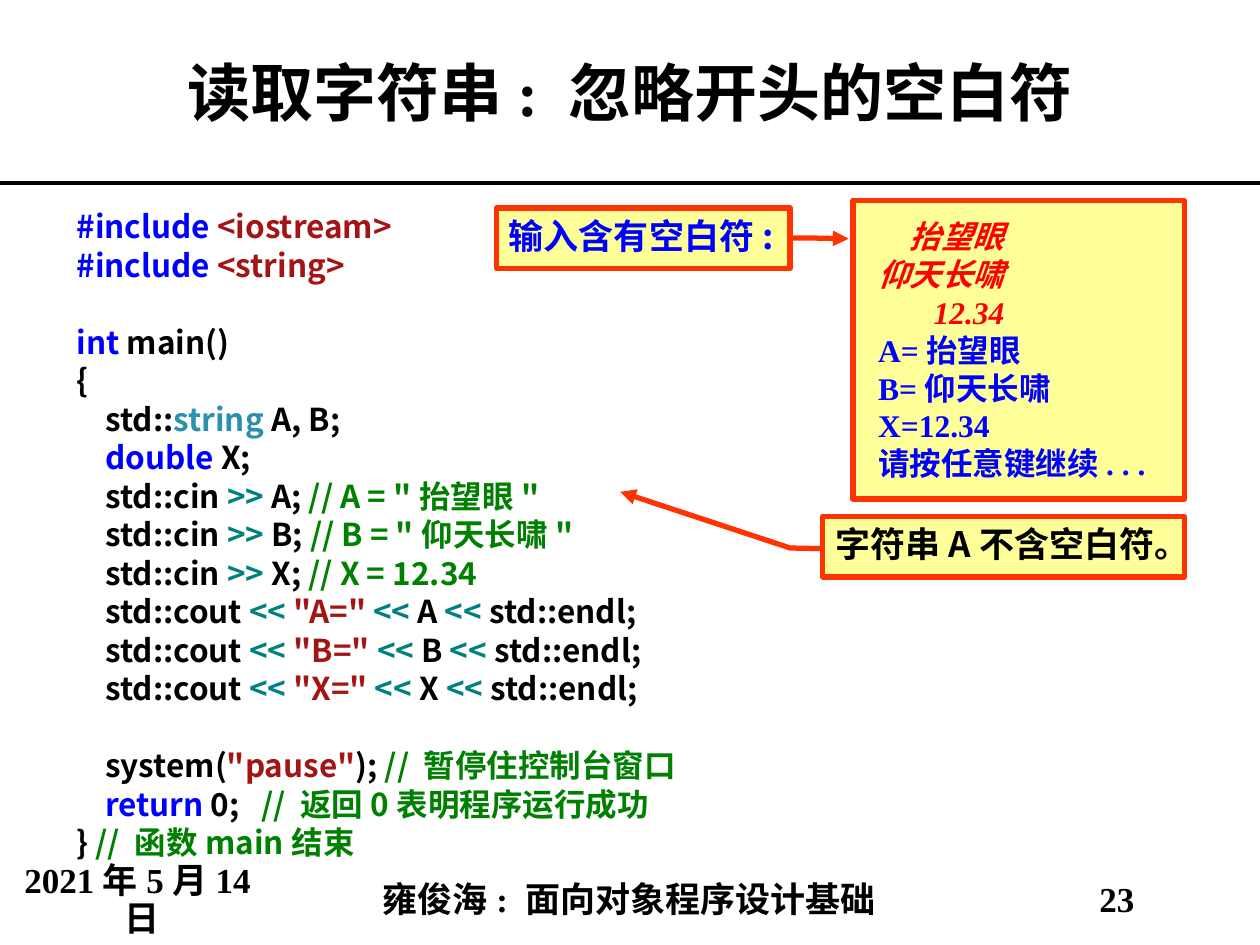
from dataclasses import dataclass

from lxml import etree
from pptx import Presentation
from pptx.dml.color import RGBColor
from pptx.enum.shapes import MSO_CONNECTOR, MSO_SHAPE
from pptx.enum.text import MSO_ANCHOR, PP_ALIGN
from pptx.oxml.ns import qn
from pptx.util import Inches, Pt


@dataclass(frozen=True)
class Theme:
    black: str = "000000"
    keyword: str = "0000FF"
    literal: str = "A31515"
    type_name: str = "2B91AF"
    operator: str = "008080"
    comment: str = "008000"
    typed: str = "FF0000"
    panel: str = "FFFF99"
    border: str = "FF3300"
    serif: str = "Times New Roman"
    sans: str = "Noto Sans CJK SC"
    title_size: int = 36
    label_size: int = 20
    code_size: int = 18
    code_pitch: int = 22


class SlideBuilder:
    def __init__(self, slide, theme):
        self.shapes = slide.shapes
        self.theme = theme

    def run(self, paragraph, text, size, face, color, italic=False):
        run = paragraph.add_run()
        run.text = text
        run.font.size = Pt(size)
        run.font.bold = True
        run.font.italic = italic
        run.font.color.rgb = RGBColor.from_string(color)
        run.font.name = face
        east_asian = etree.SubElement(run.font._element, qn("a:ea"))
        east_asian.set("typeface", self.theme.sans)

    def frame(self, shape, anchor):
        frame = shape.text_frame
        frame.word_wrap = True
        frame.vertical_anchor = anchor
        return frame

    def paragraph(self, frame, index):
        return frame.add_paragraph() if index else frame.paragraphs[0]

    def heading(self, box, text, size, spacing=1.0):
        area = self.shapes.add_textbox(*map(Inches, box))
        paragraph = self.frame(area, MSO_ANCHOR.MIDDLE).paragraphs[0]
        paragraph.alignment = PP_ALIGN.CENTER
        paragraph.line_spacing = spacing
        self.run(paragraph, text, size, self.theme.serif, self.theme.black)

    def rule(self, y, width):
        line = self.shapes.add_connector(
            MSO_CONNECTOR.STRAIGHT, Inches(0), Inches(y), Inches(width), Inches(y))
        line.line.color.rgb = RGBColor.from_string(self.theme.black)
        line.line.width = Pt(2.25)
        etree.SubElement(line._element.spPr, qn("a:effectLst"))

    def code(self, box, blocks):
        theme = self.theme
        area = self.shapes.add_textbox(*map(Inches, box))
        frame = self.frame(area, MSO_ANCHOR.TOP)
        for block_index, block in enumerate(blocks):
            for line_index, tokens in enumerate(block):
                paragraph = self.paragraph(frame, block_index + line_index)
                paragraph.alignment = PP_ALIGN.JUSTIFY
                paragraph.line_spacing = Pt(theme.code_pitch)
                if block_index and not line_index:
                    paragraph.space_before = Pt(theme.code_pitch)
                for text, color in tokens:
                    self.run(paragraph, text, theme.code_size, theme.sans, color)

    def panel(self, kind, box):
        panel = self.shapes.add_shape(kind, *map(Inches, box))
        panel.shadow.inherit = False
        panel.fill.solid()
        panel.fill.fore_color.rgb = RGBColor.from_string(self.theme.panel)
        panel.line.color.rgb = RGBColor.from_string(self.theme.border)
        panel.line.width = Pt(3)
        return panel

    def console(self, box, lines):
        theme = self.theme
        frame = self.frame(self.panel(MSO_SHAPE.RECTANGLE, box), MSO_ANCHOR.MIDDLE)
        frame.margin_left = frame.margin_right = 0
        frame.margin_top = frame.margin_bottom = 0
        for index, (text, indent, color) in enumerate(lines):
            paragraph = self.paragraph(frame, index)
            paragraph.alignment = PP_ALIGN.LEFT
            properties = paragraph._p.get_or_add_pPr()
            properties.set("marL", str(Inches(indent)))
            properties.set("indent", "0")
            self.run(paragraph, text, theme.code_size, theme.serif, color,
                     italic=color == theme.typed)

    def callout(self, box, text, color, leader):
        theme = self.theme
        callout = self.panel(MSO_SHAPE.LINE_CALLOUT_2, box)
        for index, value in enumerate(leader):
            callout.adjustments[index] = value
        arrow = etree.SubElement(callout.line._get_or_add_ln(), qn("a:tailEnd"))
        arrow.set("type", "triangle")
        paragraph = self.frame(callout, MSO_ANCHOR.TOP).paragraphs[0]
        paragraph.alignment = PP_ALIGN.LEFT
        self.run(paragraph, text, theme.label_size, theme.sans, color)


def program(theme):
    black, keyword, literal = theme.black, theme.keyword, theme.literal
    operator, comment = theme.operator, theme.comment

    def include(header):
        return [("#include ", keyword), (header, literal)]

    def read(name, value):
        return [("    std::cin ", black), (">>", operator), (f" {name}; ", black),
                (f"// {name} = {value}", comment)]

    def write(name):
        return [("    std::cout ", black), ("<< ", operator), (f'"{name}=" ', literal),
                ("<<", operator), (f" {name} ", black), ("<< ", operator),
                ("std::endl;", black)]

    return [
        [include("<iostream>"), include("<string>")],
        [
            [("int", keyword), (" main()", black)],
            [("{", black)],
            [("    std::", black), ("string", theme.type_name), (" A, B;", black)],
            [("    ", black), ("double", keyword), (" X;", black)],
            read("A", '"抬望眼"'),
            read("B", '"仰天长啸"'),
            read("X", "12.34"),
            *[write(name) for name in "ABX"],
        ],
        [
            [("    system(", black), ('"pause"', literal), ("); ", black),
             ("// 暂停住控制台窗口", comment)],
            [("    ", black), ("return", keyword), (" 0;   ", black),
             ("// 返回0表明程序运行成功", comment)],
            [("} ", black), ("// 函数main结束", comment)],
        ],
    ]


def main():
    deck = Presentation()
    deck.slide_width, deck.slide_height = Inches(10), Inches(7.5)
    theme = Theme()
    builder = SlideBuilder(deck.slides.add_slide(deck.slide_layouts[6]), theme)

    builder.heading((0, 0, 10, 1.45), "读取字符串: 忽略开头的空白符", theme.title_size)
    builder.code((0.51, 1.59, 8.99, 5.36), program(theme))
    for left, width, text in [(0, 2.25, "2021年5月14日"),
                              (2.25, 5.49, "雍俊海: 面向对象程序设计基础"),
                              (7.74, 2.25, "23")]:
        builder.heading((left, 6.95, width, 0.4), text, theme.label_size, 0.9)
    builder.rule(1.45, 10)

    builder.console((6.77, 1.59, 2.63, 2.37), [
        ("抬望眼", 0.45, theme.typed),
        ("仰天长啸", 0.2, theme.typed),
        ("12.34", 0.64, theme.typed),
        ("A=抬望眼", 0.2, theme.keyword),
        ("B=仰天长啸", 0.2, theme.keyword),
        ("X=12.34", 0.2, theme.keyword),
        ("请按任意键继续. . .", 0.2, theme.keyword),
    ])
    builder.callout((6.53, 4.1, 2.87, 0.48), "字符串A不含空白符。", theme.black,
                    (0.53, 0, 0.52, -0.09, -0.41, -0.56))
    builder.callout((3.94, 1.65, 2.33, 0.48), "输入含有空白符:", theme.keyword,
                    (0.5, 1.01, 0.5, 1.09, 0.51, 1.2))
    deck.save("out.pptx")


if __name__ == "__main__":
    main()
